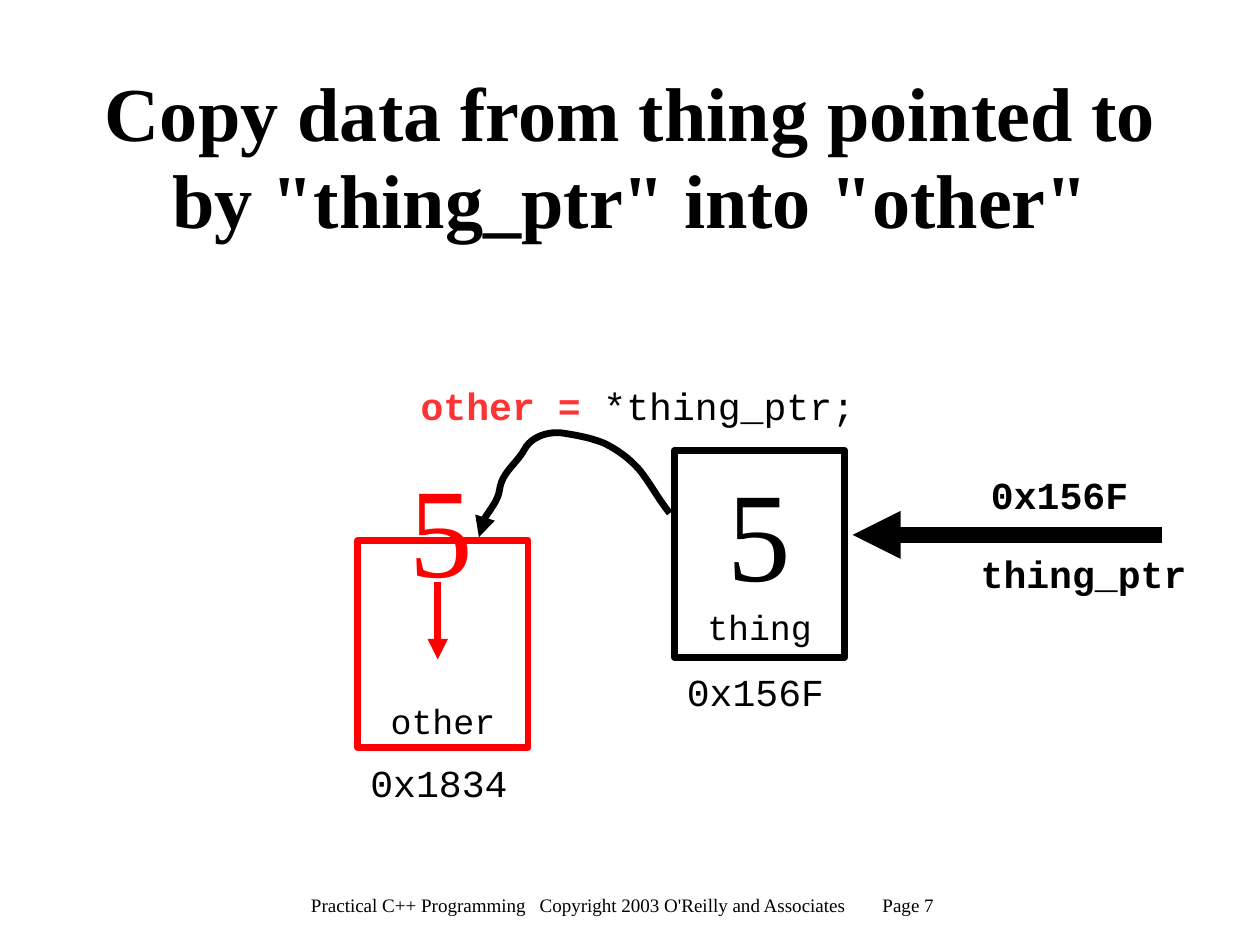
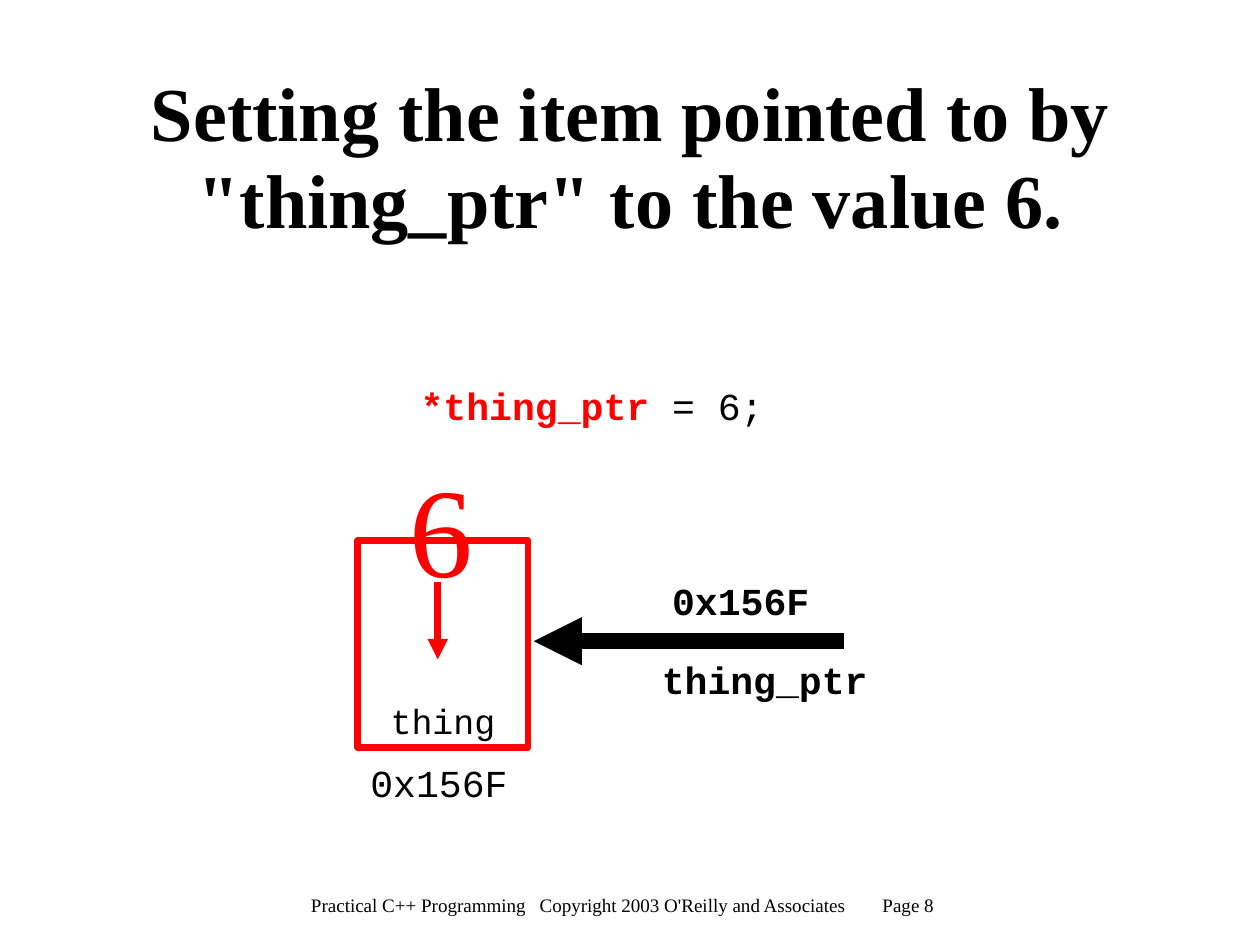
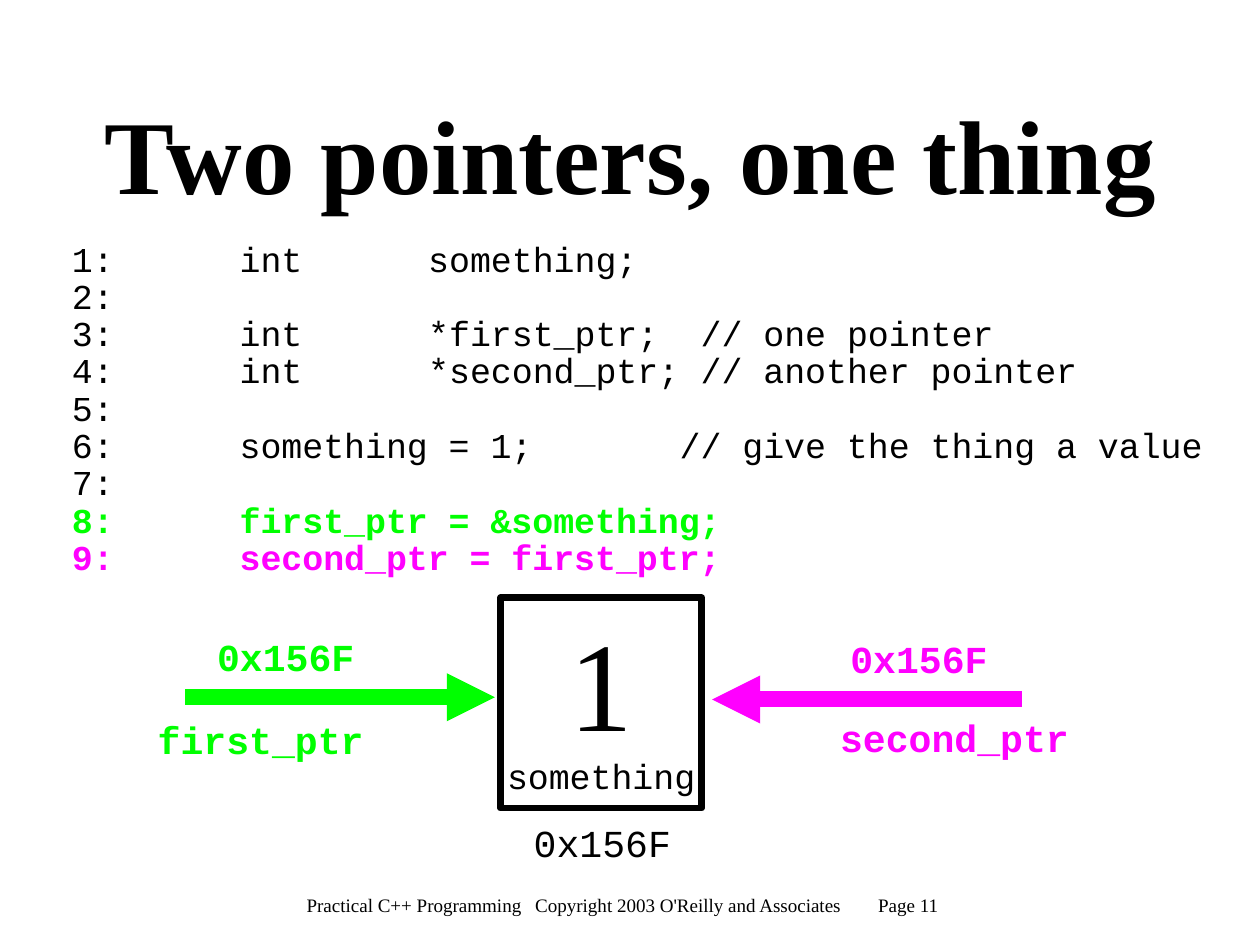
from dataclasses import dataclass
from typing import NamedTuple, Optional

from lxml import etree
from pptx import Presentation
from pptx import util as u
from pptx.dml import color as dml
from pptx.enum import shapes, text
from pptx.oxml import ns

GRID = 0.1
WIDE, HIGH = u.Cm(28), u.Cm(21)
SERIF, MONO = "Times New Roman", "Courier New"
BLACK, WHITE, RED, CORAL = "000000", "FFFFFF", "FF0000", "FF3333"
GREEN, PINK = "00FF00", "FF00FF"
THIN, THICK = 4.31, 10.09
LOOSE, TIGHT = 0.95, 0.89
CODE = 22
MID = text.MSO_ANCHOR.MIDDLE


class Area(NamedTuple):
    x: float
    y: float
    w: float
    h: float


class Word(NamedTuple):
    tx: str
    size: float = 24
    font: str = MONO
    ink: str = BLACK
    bold: bool = False


@dataclass
class Thing:
    area: Area
    name: str
    addr: str
    value: str = ""
    ink: str = BLACK
    drop: str = ""
    lead: float = 1.1


@dataclass
class Pointer:
    x: float
    y: float
    name: str
    ink: str = BLACK
    right: bool = False
    lead: float = 12.1
    side: float = 11.2
    gap: float = 1.4


class Row(NamedTuple):
    num: int
    cells: tuple = ()
    ink: str = BLACK
    bold: bool = False


@dataclass
class Page:
    num: int
    title: str
    size: float
    things: list
    links: list
    code: tuple = ()
    rows: tuple = ()
    curve: Optional[list] = None


def cell(n: float) -> int:
    return u.Inches(n * GRID)


def rgb(ink: str) -> dml.RGBColor:
    return dml.RGBColor.from_string(ink)


def place(shape, area: Area) -> None:
    shape.left, shape.top, shape.width, shape.height = map(cell, area)


def setup(frame, pads: tuple, anchor=text.MSO_ANCHOR.TOP, wrap: bool = False) -> None:
    frame.auto_size = text.MSO_AUTO_SIZE.NONE
    frame.word_wrap = wrap
    frame.vertical_anchor = anchor
    (frame.margin_left, frame.margin_top,
     frame.margin_right, frame.margin_bottom) = map(cell, pads)


def write(para, words: tuple, align=text.PP_ALIGN.LEFT, lead: float = TIGHT) -> None:
    para.alignment = align
    para.line_spacing = lead
    para.space_before = para.space_after = u.Pt(0)
    for word in words:
        run = para.add_run()
        run.text = word.tx
        run.font.size = u.Pt(word.size)
        run.font.name = word.font
        run.font.bold = word.bold
        run.font.color.rgb = rgb(word.ink)


def label(slide, area: Area, words: tuple, pad: float = 0.4,
          align=text.PP_ALIGN.LEFT, lead: float = TIGHT) -> None:
    box = slide.shapes.add_textbox(*map(cell, area))
    setup(box.text_frame, (0, pad, 0, 0))
    write(box.text_frame.paragraphs[0], words, align, lead)


def pen(shape, ink: str, width: float, tip: bool = False) -> None:
    shape.line.color.rgb = rgb(ink)
    shape.line.width = u.Pt(width)
    ln = shape.line._ln
    etree.SubElement(ln, ns.qn("a:round"))
    if tip:
        etree.SubElement(ln, ns.qn("a:tailEnd"), type="triangle")


def arrow(slide, start: tuple, end: tuple, ink: str, width: float) -> None:
    line = slide.shapes.add_connector(
        shapes.MSO_CONNECTOR.STRAIGHT, *map(cell, start + end))
    pen(line, ink, width, True)
    etree.SubElement(line._element.spPr, ns.qn("a:effectLst"))


def curve(slide, knots: list, steps: int = 12) -> None:
    dots = [knots[0]]
    for i in range(0, len(knots) - 3, 3):
        a, b, c, d = knots[i:i + 4]
        for n in range(1, steps + 1):
            t = n / steps
            s = 1 - t
            dots.append(tuple(
                s**3 * a[k] + 3 * s * s * t * b[k] + 3 * s * t * t * c[k] + t**3 * d[k]
                for k in (0, 1)))
    dots.append(knots[-1])
    pts = [(cell(x), cell(y)) for x, y in dots]
    form = slide.shapes.build_freeform(*pts[0])
    form.add_line_segments(pts[1:], close=False)
    shape = form.convert_to_shape()
    shape.shadow.inherit = False
    shape.fill.background()
    pen(shape, BLACK, THIN, True)


def thing(slide, item: Thing) -> None:
    x, y, w, h = item.area
    box = slide.shapes.add_shape(shapes.MSO_SHAPE.RECTANGLE, *map(cell, item.area))
    box.shadow.inherit = False
    box.fill.solid()
    box.fill.fore_color.rgb = rgb(WHITE)
    pen(box, item.ink, THIN)
    frame = box.text_frame
    if item.value:
        setup(frame, (0.3, 0.9, 0.3, 0.3), MID, True)
    else:
        setup(frame, (0.3, 0.9, 0.3, 0.5), text.MSO_ANCHOR.BOTTOM, True)
    para = frame.paragraphs[0]
    if item.value:
        write(para, (Word(item.value, 80, SERIF),), text.PP_ALIGN.CENTER, LOOSE)
        para = frame.add_paragraph()
    write(para, (Word(item.name, CODE),), text.PP_ALIGN.CENTER)
    label(slide, Area(x + item.lead, y + h + 1.1, 12, 3.6), (Word(item.addr),))
    if item.drop:
        label(slide, Area(x + 4.5, y - 7.5, 5.6, 12.3),
              (Word(item.drop, 80, SERIF, item.ink),), 0.6, lead=LOOSE)
        arrow(slide, (x + 7, y + 3.6), (x + 7, y + 10.4), item.ink, THIN)


def link(slide, item: Pointer) -> None:
    x, y = item.x, item.y
    ends = [(x + 27.1, y), (x, y)]
    if item.right:
        ends.reverse()
    arrow(slide, *ends, item.ink, THICK)
    label(slide, Area(x + item.lead, y - 5.5, 12, 3.8),
          (Word("0x156F", ink=item.ink, bold=True),))
    label(slide, Area(x + item.side, y + item.gap, 2 * len(item.name), 3.8),
          (Word(item.name, ink=item.ink, bold=True),))


def listing(slide, rows: tuple) -> None:
    box = slide.shapes.add_textbox(*map(cell, Area(6.3, 20.7, 99.8, 33.1)))
    frame = box.text_frame
    setup(frame, (0, 0.5, 0, 0))
    for i, row in enumerate(rows):
        para = frame.add_paragraph() if i else frame.paragraphs[0]
        if row.cells:
            tabs = etree.SubElement(para._p.get_or_add_pPr(), ns.qn("a:tabLst"))
            for col, _ in row.cells:
                etree.SubElement(tabs, ns.qn("a:tab"),
                                 pos=str(u.Pt(col * CODE * 0.6)), algn="l")
        line = "\t".join([f"{row.num}:"] + [tx for _, tx in row.cells])
        write(para, (Word(line, CODE, MONO, row.ink, row.bold),))


def build(deck, page: Page) -> None:
    slide = deck.slides.add_slide(deck.slide_layouts[5])
    label(slide, Area(2.4, 78.2, 104.1, 2),
          (Word("Practical C++ Programming\tCopyright 2003 O'Reilly and Associates"
                f"\tPage {page.num}", 12, SERIF),),
          0.1, text.PP_ALIGN.CENTER, LOOSE)
    title = slide.shapes.title
    place(title, Area(8.1, 6.4, 94.1, 14.7))
    setup(title.text_frame, (0, 0.3, 0, 0), MID, True)
    write(title.text_frame.paragraphs[0],
          (Word(page.title, page.size, SERIF, BLACK, True),),
          text.PP_ALIGN.CENTER, LOOSE)
    if page.code:
        size = sum(len(word.tx) for word in page.code)
        label(slide, Area(36.8, 33.5, 2 * size, 3.8), page.code)
    if page.rows:
        listing(slide, page.rows)
    for item in page.things:
        thing(slide, item)
    if page.curve:
        curve(slide, page.curve)
    for item in page.links:
        link(slide, item)


LEFT = Area(31.3, 47.3, 14.9, 18.1)
PAGES = [
    Page(7, 'Copy data from thing pointed to by "thing_ptr" into "other"', 48,
         [Thing(Area(59, 39.4, 14.9, 18.1), "thing", "0x156F", "5"),
          Thing(LEFT, "other", "0x1834", ink=RED, drop="5")],
         [Pointer(74.6, 46.8, "thing_ptr")],
         code=(Word("other = ", ink=CORAL, bold=True), Word("*thing_ptr;")),
         curve=[(58.6, 44.9), (57.7, 43.8), (57, 42.5), (56.1, 41.3),
                (55.2, 40.2), (54.1, 39.4), (52.9, 38.8),
                (51.7, 38.3), (50.5, 38.1), (49.3, 37.9),
                (48, 37.7), (46.5, 38.2), (45.9, 39.3),
                (45.2, 40.6), (43.9, 41.3), (43.7, 42.9),
                (43.5, 44.2), (42.2, 45.2), (41.9, 46.5), (41.9, 47)]),
    Page(8, 'Setting the item pointed to by "thing_ptr" to the value 6.', 48,
         [Thing(LEFT, "thing", "0x156F", ink=RED, drop="6")],
         [Pointer(46.7, 56.1, "thing_ptr")],
         code=(Word("*thing_ptr ", ink=RED, bold=True), Word("= 6;"))),
    Page(11, "Two pointers, one thing", 66,
         [Thing(Area(43.8, 52.3, 17.6, 18.4), "something", "0x156F", "1", lead=2.9)],
         [Pointer(62.3, 61.2, "second_ptr", PINK),
          Pointer(16.2, 61, "first_ptr", GREEN, True, 2.8, -2.4, 1.8)],
         rows=(Row(1, ((8, "int"), (17, "something;"))),
               Row(2),
               Row(3, ((8, "int"), (17, "*first_ptr;"), (30, "// one pointer"))),
               Row(4, ((8, "int"), (17, "*second_ptr;"), (30, "// another pointer"))),
               Row(5),
               Row(6, ((8, "something = 1;"), (29, "// give the thing a value"))),
               Row(7),
               Row(8, ((8, "first_ptr = &something;"),), GREEN, True),
               Row(9, ((8, "second_ptr = first_ptr;"),), PINK, True))),
]


def main() -> None:
    deck = Presentation()
    deck.slide_width, deck.slide_height = WIDE, HIGH
    for page in PAGES:
        build(deck, page)
    deck.save("out.pptx")


if __name__ == "__main__":
    main()
